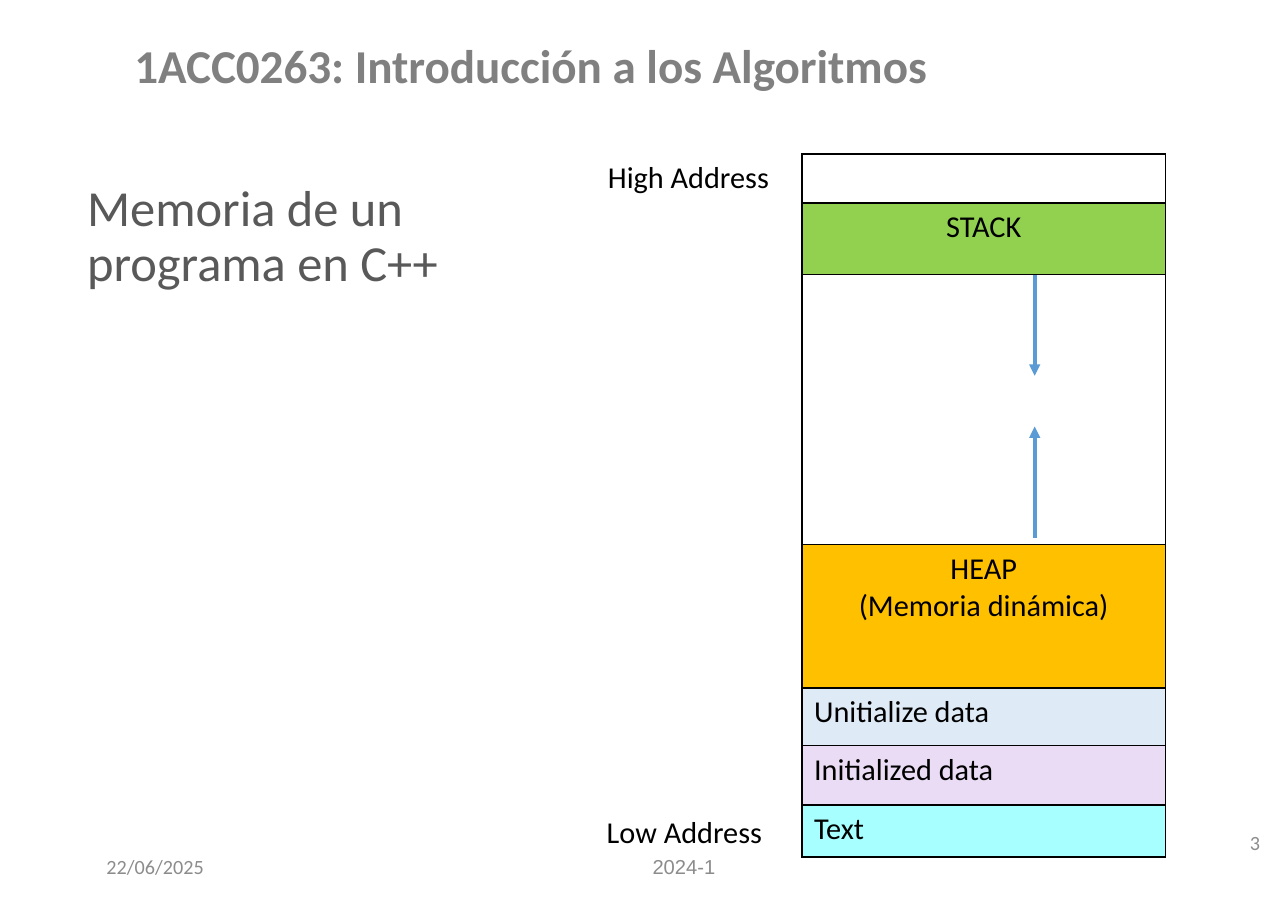
from lxml import etree
from pptx import Presentation
from pptx.dml.color import RGBColor
from pptx.enum.shapes import MSO_CONNECTOR
from pptx.enum.text import MSO_ANCHOR, MSO_AUTO_SIZE, PP_ALIGN
from pptx.oxml.ns import qn
from pptx.util import Pt

LEFT, CENTER, RIGHT = PP_ALIGN.LEFT, PP_ALIGN.CENTER, PP_ALIGN.RIGHT
TOP, MIDDLE = MSO_ANCHOR.TOP, MSO_ANCHOR.MIDDLE
NO_AUTOFIT = MSO_AUTO_SIZE.NONE
STRAIGHT = MSO_CONNECTOR.STRAIGHT


class Theme:
    font, footer_font = "Calibri", "Arial"
    black, title, course, footer = "000000", "595959", "808080", "8C8C8C"
    arrow = "5B9BD5"
    title_size, course_size, body_size, footer_size = 30, 28, 18, 12
    border_width, arrow_width = 1, 2.25


# Content: memory segments from high to low address (lines, alignment, fill, height)
TITLE = "Memoria de un programa en C++"
SEGMENTS = [
    ([], LEFT, "FFFFFF", 29.2),
    (["STACK"], CENTER, "92D050", 42.4),
    ([], LEFT, "FFFFFF", 160.4),
    (["HEAP", "(Memoria dinámica)"], CENTER, "FFC000", 85.4),
    (["Unitialize data"], LEFT, "DEEBF7", 34.2),
    (["Initialized data"], LEFT, "EADCF4", 35.2),
    (["Text"], LEFT, "A7FFFF", 31),
]
# Text, box (left, top, width, height), alignment, size, colour, font, bold
COURSE = ("1ACC0263: Introducción a los Algoritmos", (40.3, 7.9, 550, 61.2), CENTER,
          Theme.course_size, Theme.course, Theme.font, True)
FOOTERS = [
    (text, box, align, Theme.footer_size, Theme.footer, font, False)
    for text, box, align, font in [
        ("2024-1", (269.3, 500.4, 274.3, 28.8), CENTER, Theme.footer_font),
        ("22/06/2025", (56.2, 500.4, 182.9, 28.8), LEFT, Theme.font),
        ("3", (573.1, 486, 182.9, 28.8), RIGHT, Theme.font),
    ]
]
ADDRESSES = [
    (text, box, LEFT, Theme.body_size, Theme.black, Theme.font, False)
    for text, box in [
        ("High Address", (354.2, 90.7, 111.6, 28.8)),
        ("Low Address", (353.5, 479.5, 108, 28.8)),
    ]
]
TITLE_BOX = (44.6, 105.1, 309.6, 141.8)
TABLE_LEFT, TABLE_TOP, TABLE_WIDTH = 476.6, 91.4, 216
ARROW_X = 614.9
ARROWS = [(163.4, 223.2), (319.7, 253.4)]


def color(value):
    return RGBColor.from_string(value)


def place(shape, box):
    shape.left, shape.top, shape.width, shape.height = map(Pt, box)


def write(paragraph, text, align, size, text_color, font=Theme.font, bold=False):
    paragraph.alignment = align
    run = paragraph.add_run()
    run.text = text
    run.font.name, run.font.size, run.font.bold = font, Pt(size), bold
    run.font.color.rgb = color(text_color)


def add_text(slide, text, box, *style, anchor=MIDDLE, wrap=True):
    frame = slide.shapes.add_textbox(*map(Pt, box)).text_frame
    frame.word_wrap = wrap
    frame.vertical_anchor = anchor
    write(frame.paragraphs[0], text, *style)


def add_borders(cell):
    properties = cell._tc.get_or_add_tcPr()
    for side in ("lnL", "lnR", "lnT", "lnB"):
        line = etree.SubElement(properties, qn(f"a:{side}"), w=str(Pt(Theme.border_width)))
        fill = etree.SubElement(line, qn("a:solidFill"))
        etree.SubElement(fill, qn("a:srgbClr"), val=Theme.black)


def add_memory_table(slide):
    total = sum(segment[-1] for segment in SEGMENTS)
    box = (TABLE_LEFT, TABLE_TOP, TABLE_WIDTH, total)
    table = slide.shapes.add_table(len(SEGMENTS), 1, *map(Pt, box)).table
    table.first_row = table.horz_banding = False
    for index, (lines, align, fill, height) in enumerate(SEGMENTS):
        table.rows[index].height = Pt(height)
        cell = table.cell(index, 0)
        add_borders(cell)
        cell.fill.solid()
        cell.fill.fore_color.rgb = color(fill)
        frame = cell.text_frame
        for number, text in enumerate(lines):
            paragraph = frame.add_paragraph() if number else frame.paragraphs[0]
            write(paragraph, text, align, Theme.body_size, Theme.black)


def add_arrow(slide, start, end):
    arrow = slide.shapes.add_connector(STRAIGHT, Pt(ARROW_X), Pt(start), Pt(ARROW_X), Pt(end))
    arrow.line.color.rgb = color(Theme.arrow)
    arrow.line.width = Pt(Theme.arrow_width)
    etree.SubElement(arrow.line._get_or_add_ln(), qn("a:tailEnd"), type="triangle")
    etree.SubElement(arrow._element.spPr, qn("a:effectLst"))


def main():
    presentation = Presentation()
    presentation.slide_width, presentation.slide_height = Pt(765.4), Pt(540)
    slide = presentation.slides.add_slide(presentation.slide_layouts[5])

    # Course heading and slide title
    add_text(slide, *COURSE)
    title = slide.shapes.title
    place(title, TITLE_BOX)
    frame = title.text_frame
    frame.word_wrap, frame.auto_size, frame.vertical_anchor = True, NO_AUTOFIT, TOP
    frame.paragraphs[0].line_spacing = 0.9
    write(frame.paragraphs[0], TITLE, LEFT, Theme.title_size, Theme.title)

    # Memory layout with growth arrows
    add_memory_table(slide)
    for start, end in ARROWS:
        add_arrow(slide, start, end)

    # Address labels and footer
    for label in ADDRESSES:
        add_text(slide, *label, anchor=TOP, wrap=False)
    for footer in FOOTERS:
        add_text(slide, *footer)

    presentation.save("out.pptx")


if __name__ == "__main__":
    main()
